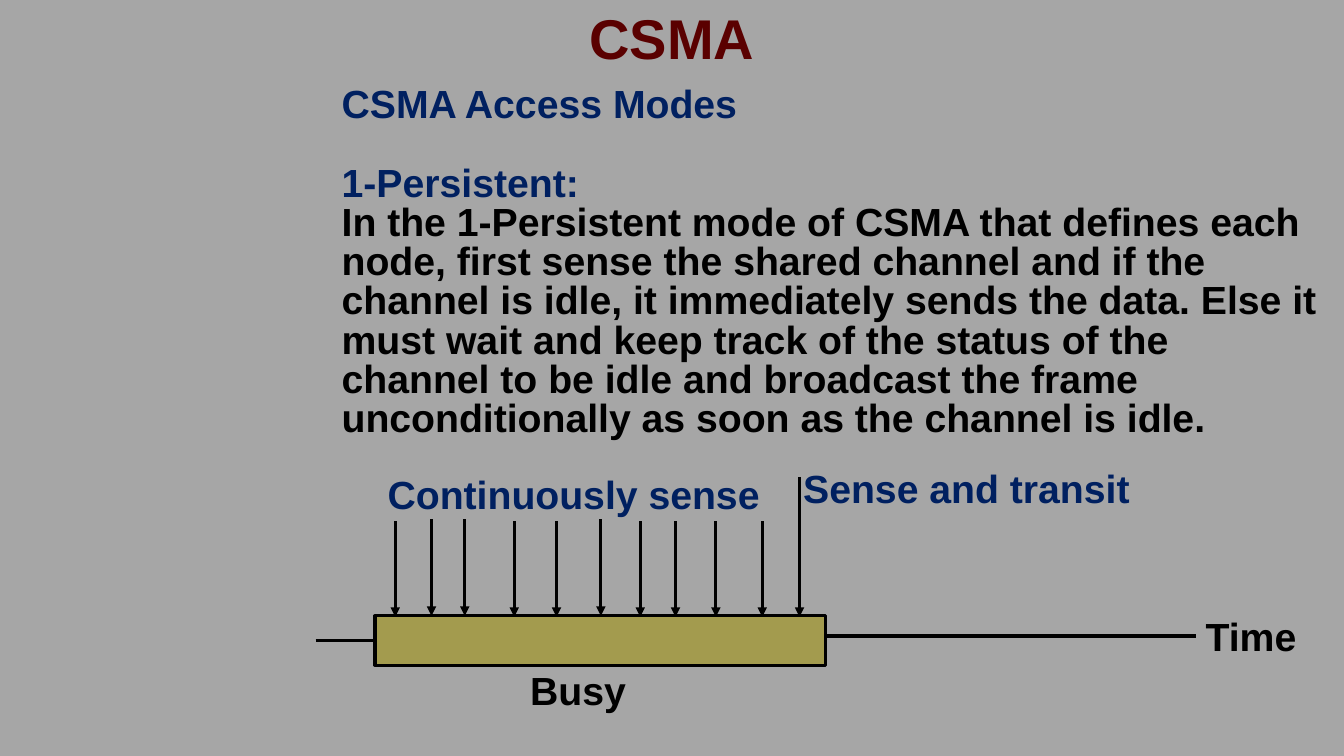
"""Builds the slide on the 1-persistent access mode of CSMA."""
from lxml import etree
from pptx import Presentation
from pptx.dml.color import RGBColor
from pptx.enum.shapes import MSO_CONNECTOR, MSO_SHAPE
from pptx.enum.text import MSO_ANCHOR, PP_ALIGN
from pptx.oxml.ns import qn
from pptx.util import Inches, Pt

GRAY = RGBColor(0xA6, 0xA6, 0xA6)
NAVY = RGBColor(0x00, 0x20, 0x60)
MAROON = RGBColor(0x5A, 0x00, 0x00)
OLIVE = RGBColor(0xA3, 0x9B, 0x4E)
BLACK = RGBColor(0x00, 0x00, 0x00)
LEFT, CENTER = PP_ALIGN.LEFT, PP_ALIGN.CENTER
MIDDLE = MSO_ANCHOR.MIDDLE
STRAIGHT = MSO_CONNECTOR.STRAIGHT
RECTANGLE = MSO_SHAPE.RECTANGLE
LINE_WIDTH = Pt(2.25)

presentation = Presentation()
presentation.slide_width = Inches(13.33)
presentation.slide_height = Inches(7.5)
slide = presentation.slides.add_slide(presentation.slide_layouts[6])
slide.background.fill.solid()
slide.background.fill.fore_color.rgb = GRAY


def add_text(left, top, width, height, lines, align=LEFT, size=28):
    box = slide.shapes.add_textbox(
        Inches(left), Inches(top), Inches(width), Inches(height))
    text_frame = box.text_frame
    text_frame.word_wrap = True
    text_frame.text = "\n".join(text for text, color in lines)
    for paragraph, (text, color) in zip(text_frame.paragraphs, lines):
        paragraph.alignment = align
        font = paragraph.runs[0].font
        font.name = "Arial"
        font.size = Pt(size)
        font.bold = True
        font.color.rgb = color
    return text_frame


def add_line(start_x, start_y, end_x, end_y, arrow=False):
    connector = slide.shapes.add_connector(
        STRAIGHT, Inches(start_x), Inches(start_y), Inches(end_x), Inches(end_y))
    connector.line.color.rgb = BLACK
    connector.line.width = LINE_WIDTH
    if arrow:
        etree.SubElement(connector.line._get_or_add_ln(), qn("a:tailEnd"), type="triangle")
    etree.SubElement(connector._element.spPr, qn("a:effectLst"))


body = add_text(3.29, 0.82, 9.88, 3.64, [
    ("CSMA Access Modes", NAVY),
    ("1-Persistent:", NAVY),
    ("In the 1-Persistent mode of CSMA that defines each node, first sense "
     "the shared channel and if the channel is idle, it immediately sends the "
     "data. Else it must wait and keep track of the status of the channel to be "
     "idle and broadcast the frame unconditionally as soon as the channel is "
     "idle.", BLACK),
])
for paragraph in body.paragraphs:
    paragraph.line_spacing = Pt(28)
body.paragraphs[1].space_before = Pt(28)

title = add_text(0, 0.04, 13.33, 0.74, [("CSMA", MAROON)], CENTER, 40)
title.margin_left = title.margin_right = title.margin_top = title.margin_bottom = 0
title.vertical_anchor = MIDDLE
title.paragraphs[0].line_spacing = 0.9

busy_bar = slide.shapes.add_shape(
    RECTANGLE, Inches(3.72), Inches(6.11), Inches(4.47), Inches(0.49))
busy_bar.shadow.inherit = False
busy_bar.fill.solid()
busy_bar.fill.fore_color.rgb = OLIVE
busy_bar.line.color.rgb = BLACK
busy_bar.line.width = LINE_WIDTH

for sense_x in (3.92, 5.1, 5.52, 6.35, 6.7, 7.1, 7.56):
    add_line(sense_x, 5.17, sense_x, 6.12, arrow=True)
for sense_x in (4.28, 4.61, 5.96):
    add_line(sense_x, 5.15, sense_x, 6.11, arrow=True)
add_line(7.93, 4.73, 7.93, 6.12, arrow=True)
add_line(8.19, 6.31, 11.86, 6.31)
add_line(3.13, 6.35, 3.72, 6.35)

for label, color, left, top, width, align in (
    ("Time", BLACK, 11.86, 6.03, 1.19, LEFT),
    ("Sense and transit", NAVY, 7.75, 4.56, 3.67, CENTER),
    ("Continuously sense", NAVY, 3.46, 4.62, 4.46, CENTER),
    ("Busy", BLACK, 5.16, 6.56, 1.19, LEFT),
):
    add_text(left, top, width, 0.57, [(label, color)], align)

presentation.save("out.pptx")
